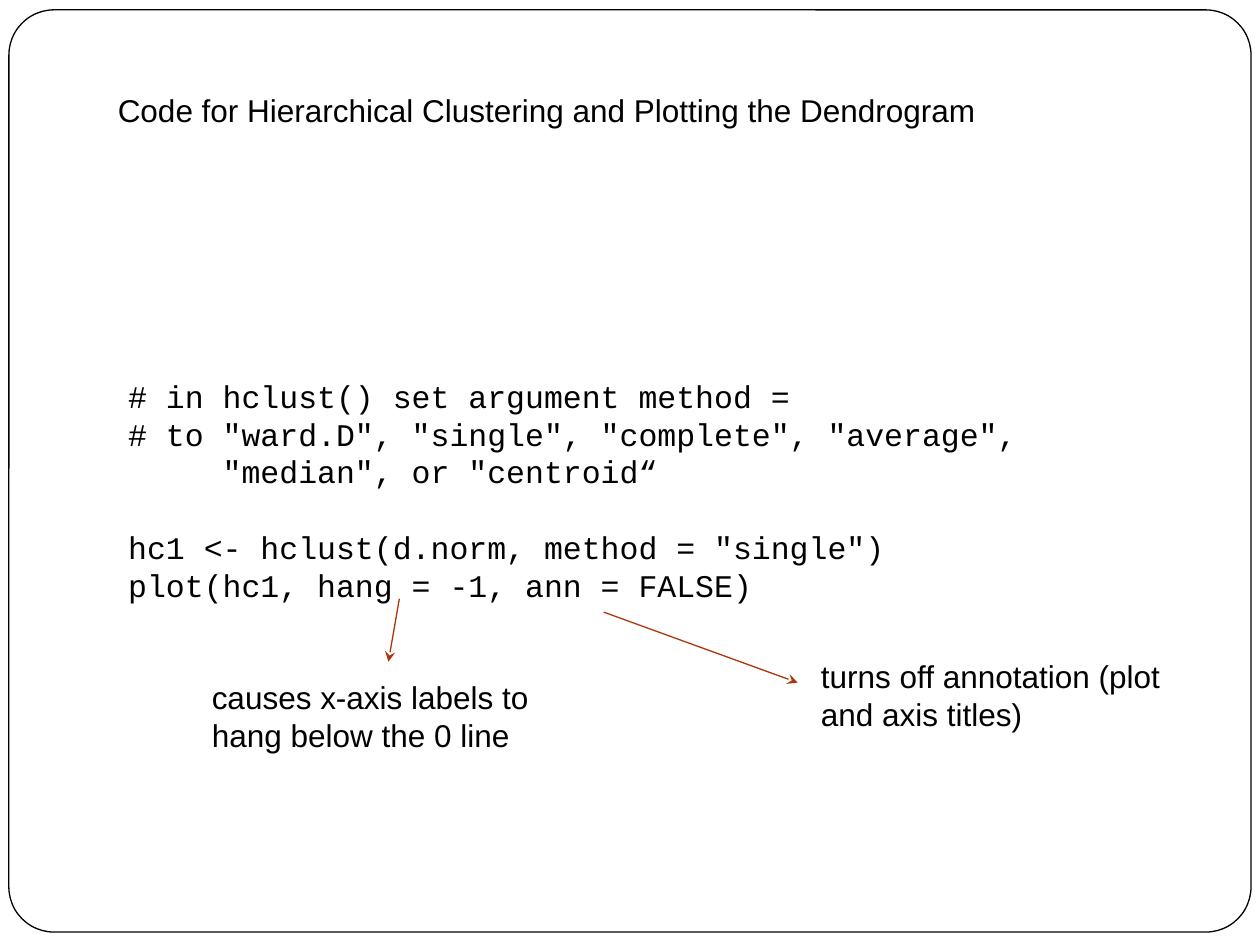
from lxml import etree
from pptx import Presentation
from pptx import util as u
from pptx.dml.color import RGBColor
from pptx.enum import shapes, text
from pptx.oxml.ns import qn

COLOURS = {"paper": "FFFFFF", "ink": "000000", "arrow": "AE350A"}
SIZE = u.Pt(18)
LEADING = u.Pt(21.6)
CODE_INDENT = u.Pt(54)  # five monospaced characters

TITLE = "Code for Hierarchical Clustering and Plotting the Dendrogram"
CODE = [
    "# in hclust() set argument method =",
    '# to "ward.D", "single", "complete", "average",',
    '"median", or "centroid“',
    'hc1 <- hclust(d.norm, method = "single")',
    "plot(hc1, hang = -1, ann = FALSE)",
]
CONTINUED_LINE, FIRST_CALL = 2, 3
# note, its box, arrow start, arrow end; places in cm
NOTES = [
    ("turns off annotation (plot and axis titles)",
     (16.3, 13.13, 7.83, 1.8), (12.17, 12.34), (16.08, 13.76)),
    ("causes x-axis labels to hang below the 0 line",
     (4.02, 13.55, 8.47, 1.8), (8.05, 12.07), (7.83, 13.34)),
]


def colour(name):
    return RGBColor.from_string(COLOURS[name])


def place(shape, box):
    shape.left, shape.top, shape.width, shape.height = (u.Cm(v) for v in box)


def write(shape, lines, font):
    """Fill a text shape with plain, left-aligned lines set from its top."""
    frame = shape.text_frame
    frame.text = "\n".join(lines)
    frame.word_wrap = True
    frame.auto_size = text.MSO_AUTO_SIZE.NONE
    frame.vertical_anchor = text.MSO_ANCHOR.TOP
    for para in frame.paragraphs:
        para.alignment = text.PP_ALIGN.LEFT
        para.line_spacing = LEADING
        para.space_before = u.Pt(0)
        for span in para.runs:
            span.font.name = font
            span.font.size = SIZE
            span.font.color.rgb = colour("ink")
    return frame.paragraphs


def add_frame(page, box):
    border = page.shapes.add_shape(
        shapes.MSO_SHAPE.ROUNDED_RECTANGLE, *(u.Cm(v) for v in box))
    border.adjustments[0] = 0.049
    border.shadow.inherit = False
    border.fill.solid()
    border.fill.fore_color.rgb = colour("paper")
    border.line.color.rgb = colour("ink")
    border.line.width = u.Pt(0.75)
    page.shapes.element.insert(2, border.element)  # behind the placeholders


def add_title(page, box):
    title = page.shapes.title
    place(title, box)
    write(title, [TITLE], "Arial")


def add_code(page, box):
    body = page.placeholders[1]
    place(body, box)
    paras = write(body, CODE, "Courier New")
    for number, para in enumerate(paras):
        props = para._p.get_or_add_pPr()
        props.set("marL", str(CODE_INDENT if number == CONTINUED_LINE else 0))
        props.set("indent", "0")
        etree.SubElement(props, qn("a:buNone"))
    paras[FIRST_CALL].space_before = LEADING


def add_arrow(page, start, end):
    arrow = page.shapes.add_connector(
        shapes.MSO_CONNECTOR.STRAIGHT, *(u.Cm(v) for v in start + end))
    arrow.line.color.rgb = colour("arrow")
    arrow.line.width = u.Pt(0.75)
    etree.SubElement(arrow.line._get_or_add_ln(), qn("a:tailEnd"), type="stealth")
    etree.SubElement(arrow.element.spPr, qn("a:effectLst"))


def add_note(page, note, box, start, end):
    add_arrow(page, start, end)
    label = page.shapes.add_textbox(*(u.Cm(v) for v in box))
    write(label, [note], "Arial")


def main():
    deck = Presentation()
    deck.slide_width, deck.slide_height = u.Cm(25.4), u.Cm(19.05)
    page = deck.slides.add_slide(deck.slide_layouts[1])
    page.background.fill.solid()
    page.background.fill.fore_color.rgb = colour("paper")
    add_frame(page, (0.18, 0.2, 25.04, 18.59))
    add_title(page, (2.12, 1.7, 21.16, 1.02))
    add_code(page, (2.33, 7.47, 19.69, 4.88))
    for note in NOTES:
        add_note(page, *note)
    deck.save("out.pptx")


if __name__ == "__main__":
    main()
